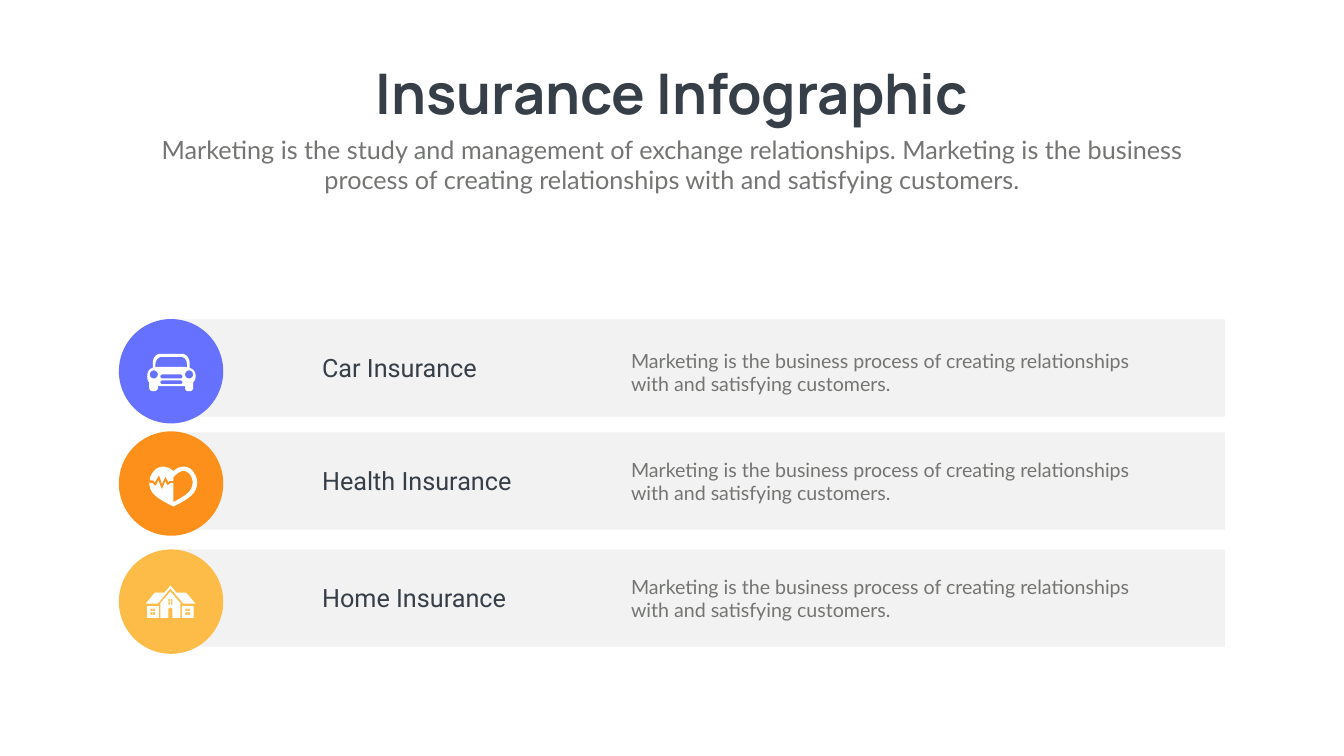
from dataclasses import dataclass
from typing import Iterator

from pptx import Presentation
from pptx.dml.color import RGBColor
from pptx.enum.shapes import MSO_SHAPE as Preset
from pptx.enum.text import MSO_ANCHOR as Anchor, MSO_AUTO_SIZE as AutoSize, PP_ALIGN as Align
from pptx.util import Cm, Pt

INK, GREY, PALE, WHITE = "363E48", "737572", "F2F2F2", "FFFFFF"
DESCRIPTION = ("Marketing is the business process of creating relationships "
               "with and satisfying customers.")
TITLE_FORMAT = {"name": "Manrope", "size": Pt(80), "bold": True}
SUBTITLE_FORMAT = {"name": "Lato", "size": Pt(36)}
LABEL_FORMAT = {"name": "Roboto", "size": Pt(36)}
DESCRIPTION_FORMAT = {"name": "Lato", "size": Pt(28)}

Point = tuple[float, float]
FINENESS = 100  # freeform steps per icon unit
ICON_UNIT = Cm(2.54) / 100
CURVE_STEPS = 8


@dataclass
class Box:
    left: float
    top: float
    width: float
    height: float

    def lengths(self) -> list[Cm]:
        return [Cm(value) for value in (self.left, self.top, self.width, self.height)]


@dataclass
class Row:
    label: str
    color: str
    bar_top: float
    disc_top: float
    description_top: float
    icon_left: float
    icon_top: float
    icon: str


# Icon outlines, as path commands M, L, C and Z
def rectangle(x: float, y: float, width: float, height: float) -> str:
    right, bottom = x + width, y + height
    return f"M {x} {y} L {right} {y} {right} {bottom} {x} {bottom} Z "


def rounded(x: float, y: float, width: float, height: float) -> str:
    """A bar with round ends; a circle when width and height are equal."""
    radius = height / 2
    inset = radius * 0.45
    right, bottom, middle = x + width, y + height, y + radius
    return (f"M {x + radius} {y} L {right - radius} {y} "
            f"C {right - inset} {y} {right} {y + inset} {right} {middle} "
            f"C {right} {bottom - inset} {right - inset} {bottom} {right - radius} {bottom} "
            f"L {x + radius} {bottom} "
            f"C {x + inset} {bottom} {x} {bottom - inset} {x} {middle} "
            f"C {x} {y + inset} {x + inset} {y} {x + radius} {y} Z ")


def panes(x: float, y: float, width: float, column_gap: float, row_gap: float) -> str:
    return "".join(rectangle(x + column * column_gap, y + row * row_gap, width, 5)
                   for column in range(2) for row in range(2))


CAR = (
    "M 91 57 L 91 68 C 91 71 89 74 85 74 L 81 74 C 77 74 75 71 75 68 L 75 64 21 64 21 68 "
    "C 21 71 18 74 15 74 L 10 74 C 7 74 4 71 4 68 L 4 57 C 1 54 0 49 0 45 C 0 35 4 30 11 28 "
    "L 11 18 C 11 8 18 0 26 0 L 69 0 C 77 0 84 8 84 18 L 84 28 C 91 30 96 35 96 45 "
    "C 96 49 94 54 91 57 Z "
    "M 48 26 C 60 26 71 25 79 27 L 79 24 C 79 14 76 6 65 6 L 30 6 C 20 6 16 14 16 24 "
    "L 16 27 C 25 25 36 26 48 26 Z "
    + rounded(5, 33, 16, 16) + rounded(75, 33, 16, 16)
    + rounded(26, 41, 44, 8) + rounded(26, 53, 44, 7))

HEART = (
    "M 48 9 C 44 5 39 2 34 1 C 29 -1 23 0 18 2 C 13 4 9 8 6 13 C 3 17 1 22 1 27 "
    "L 8 27 9 28 11 31 17 21 19 17 21 21 25 34 30 24 32 20 34 23 38 31 40 28 48 28 48 21 51 18 "
    "C 54 14 59 11 64 9 C 67 8 71 8 74 10 C 77 12 80 14 82 17 C 85 22 86 27 86 32 "
    "C 86 49 70 58 52 68 L 48 70 48 32 43 32 39 35 37 37 35 35 32 29 27 40 25 45 23 40 "
    "18 27 14 36 12 38 10 36 6 32 0 32 C 0 54 19 64 40 75 L 46 78 48 79 50 78 56 75 "
    "C 76 64 95 54 95 32 C 95 25 93 18 89 13 C 87 8 83 4 78 2 C 73 0 67 -1 61 1 "
    "C 56 2 52 5 48 9 Z")

HOME = (
    "M 37 14 L 18 14 0 36 24 36 49 6 75 36 99 36 80 14 61 14 49 0 Z "
    "M 69 64 L 69 35 49 12 29 35 29 64 45 64 45 49 C 44 47 46 44 48 44 "
    "C 50 43 53 45 53 47 L 53 64 Z "
    + rectangle(3, 41, 23, 23) + rectangle(72, 41, 23, 23)
    + panes(10, 46, 4, 5, 7) + panes(79, 46, 4, 5, 7) + panes(45, 27, 3, 5, 6))

ROWS = [
    Row("Car Insurance", "6672FF", 16.1, 16.08, 17.45, 7.42, 17.83, CAR),
    Row("Health Insurance", "FD901A", 21.79, 21.74, 22.94, 7.52, 23.52, HEART),
    Row("Home Insurance", "FDBB47", 27.69, 27.69, 28.83, 7.34, 29.51, HOME),
]


def curve(points: list[Point]) -> Iterator[Point]:
    """Points along a cubic curve, without its start."""
    for step in range(1, CURVE_STEPS + 1):
        t = step / CURVE_STEPS
        weights = ((1 - t) ** 3, 3 * t * (1 - t) ** 2, 3 * t * t * (1 - t), t ** 3)
        yield tuple(sum(weight * point[axis] for weight, point in zip(weights, points))
                    for axis in (0, 1))


def contours(outline: str) -> Iterator[list[Point]]:
    for part in outline.split("Z"):
        points: list[Point] = []
        for command in part.replace("L", "|L").replace("C", "|C").split("|"):
            if not command.strip():
                continue
            letter, *words = command.split()
            numbers = [float(word) * FINENESS for word in words]
            pairs = list(zip(numbers[::2], numbers[1::2]))
            points.extend(curve([points[-1], *pairs]) if letter == "C" else pairs)
        if points:
            yield points


# Drawing
def rgb(color: str) -> RGBColor:
    return RGBColor.from_string(color)


def paint(shape, color: str) -> None:
    shape.shadow.inherit = False
    shape.fill.solid()
    shape.fill.fore_color.rgb = rgb(color)
    shape.line.fill.background()


def add_preset(slide, preset: Preset, box: Box, color: str) -> None:
    paint(slide.shapes.add_shape(preset, *box.lengths()), color)


def add_icon(slide, row: Row) -> None:
    first, *others = contours(row.icon)
    builder = slide.shapes.build_freeform(*first[0], scale=ICON_UNIT / FINENESS)
    builder.add_line_segments(first[1:], close=True)
    for points in others:
        builder.move_to(*points[0])
        builder.add_line_segments(points[1:], close=True)
    paint(builder.convert_to_shape(Cm(row.icon_left), Cm(row.icon_top)), WHITE)


def write(shape, text: str, font_format: dict, color: str, align: Align, wrap: bool = True) -> None:
    frame = shape.text_frame
    frame.text = text
    frame.word_wrap = wrap
    frame.auto_size = AutoSize.NONE
    frame.vertical_anchor = Anchor.TOP
    paragraph = frame.paragraphs[0]
    paragraph.alignment = align
    paragraph.space_before = Pt(0)
    for name, value in font_format.items():
        setattr(paragraph.font, name, value)
    paragraph.font.color.rgb = rgb(color)


def place(shape, box: Box) -> None:
    shape.left, shape.top, shape.width, shape.height = box.lengths()


def add_row(slide, row: Row) -> None:
    add_preset(slide, Preset.RECTANGLE, Box(8.84, row.bar_top, 52.88, 4.9), PALE)
    add_preset(slide, Preset.OVAL, Box(5.99, row.disc_top, 5.26, 5.26), row.color)
    add_icon(slide, row)
    label = slide.shapes.add_textbox(*Box(15.98, row.bar_top + 1.55, 12.42, 1.8).lengths())
    write(label, row.label, LABEL_FORMAT, INK, Align.LEFT)
    description = slide.shapes.add_textbox(*Box(31.55, row.description_top, 26.14, 2.64).lengths())
    write(description, DESCRIPTION, DESCRIPTION_FORMAT, GREY, Align.LEFT)


def main() -> None:
    presentation = Presentation()
    presentation.slide_width, presentation.slide_height = Cm(67.72), Cm(38.1)
    slide = presentation.slides.add_slide(presentation.slide_layouts[0])

    # Heading
    title, subtitle = slide.placeholders
    place(title, Box(17.32, 2.84, 33.07, 3.68))
    write(title, "Insurance Infographic", TITLE_FORMAT, INK, Align.CENTER, wrap=False)
    place(subtitle, Box(7.42, 6.63, 52.88, 3.33))
    write(subtitle, "Marketing is the study and management of exchange relationships. " + DESCRIPTION,
          SUBTITLE_FORMAT, GREY, Align.CENTER)

    # Insurance rows
    for row in ROWS:
        add_row(slide, row)
    presentation.save("out.pptx")


if __name__ == "__main__":
    main()
